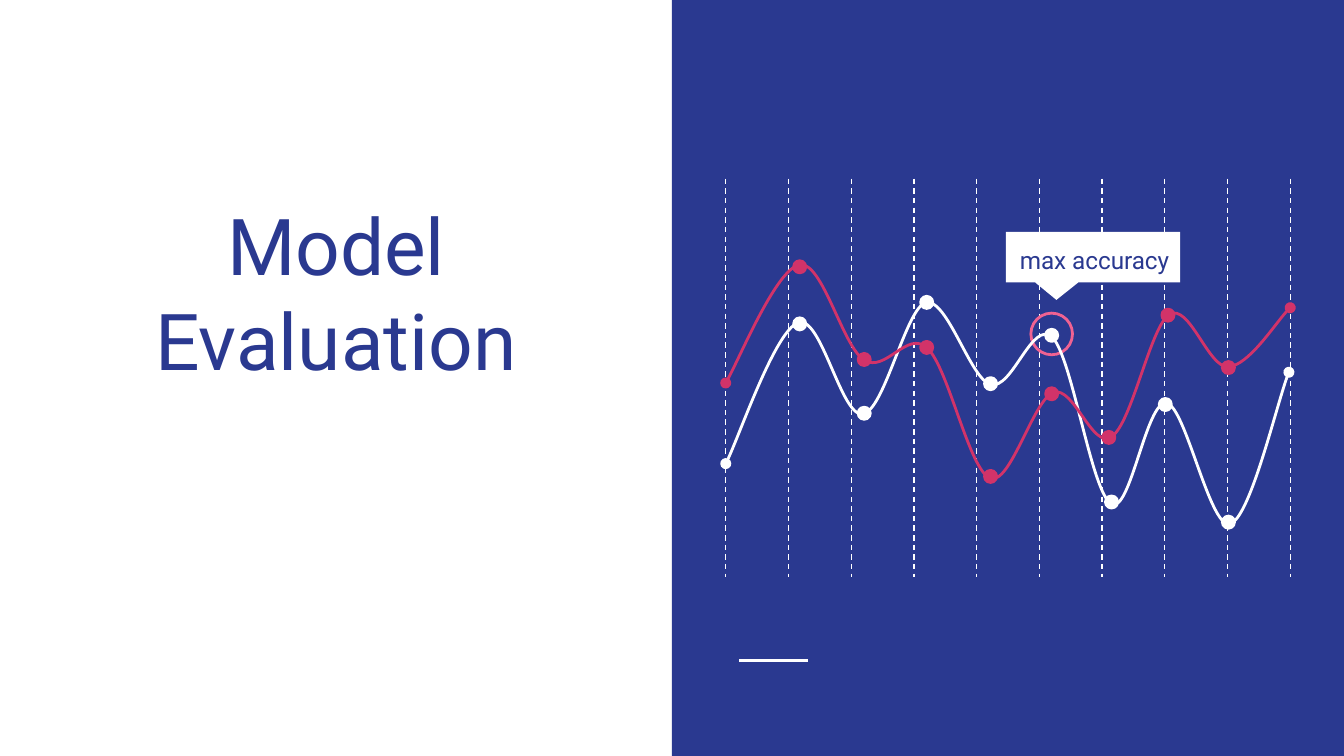
"""Build a slide with a model evaluation title beside an accuracy sketch."""
from dataclasses import dataclass
from typing import Any

import lxml.etree
import pptx
import pptx.dml.color
import pptx.enum.dml
import pptx.enum.shapes
import pptx.enum.text
import pptx.oxml
import pptx.oxml.ns
import pptx.util

PX = 4572
BLUE, WHITE, RED, PINK = "2A3990", "FFFFFF", "D23369", "F06292"
SHAPE = pptx.enum.shapes.MSO_SHAPE
ANCHOR = pptx.enum.text.MSO_ANCHOR
ALIGN = pptx.enum.text.PP_ALIGN
INSET = pptx.util.Emu(20 * PX)
FRAME_FORMAT = {
    "word_wrap": True,
    "margin_left": INSET,
    "margin_right": INSET,
    "margin_top": INSET,
    "margin_bottom": INSET,
}


@dataclass(frozen=True)
class Box:
    left: int
    top: int
    width: int
    height: int


@dataclass(frozen=True)
class Series:
    color: str
    curve: list[tuple[int, int]]
    dots: list[tuple[int, int]]


@dataclass(frozen=True)
class Label:
    text: str
    box: Box
    size: int
    anchor: Any
    paragraph_format: dict[str, Any]


WHITE_SERIES = Series(
    WHITE,
    [(1080, 690), (1098, 656), (1154, 492), (1188, 480), (1222, 468), (1252, 622),
     (1284, 616), (1316, 612), (1348, 458), (1378, 450), (1410, 444), (1444, 564),
     (1474, 572), (1506, 582), (1536, 474), (1566, 502), (1596, 532), (1624, 734),
     (1654, 750), (1682, 766), (1706, 594), (1736, 600), (1764, 604), (1800, 786),
     (1830, 780), (1860, 772), (1902, 592), (1918, 554)],
    [(1819, 768), (1725, 593), (1645, 738), (1556, 490), (1465, 562), (1370, 441),
     (1277, 606), (1181, 473)],
)
RED_SERIES = Series(
    RED,
    [(1080, 570), (1098, 540), (1156, 400), (1190, 394), (1224, 388), (1254, 516),
     (1286, 536), (1318, 556), (1350, 490), (1380, 518), (1412, 548), (1442, 700),
     (1474, 712), (1504, 722), (1538, 594), (1568, 584), (1598, 574), (1626, 670),
     (1654, 650), (1684, 632), (1712, 486), (1740, 468), (1770, 450), (1798, 548),
     (1828, 546), (1858, 544), (1904, 472), (1920, 458)],
    [(1181, 388), (1277, 526), (1370, 508), (1465, 700), (1556, 577), (1641, 642),
     (1729, 460), (1819, 538)],
)
LABELS = [
    Label("Model Evaluation", Box(58, 252, 884, 342), 42, ANCHOR.BOTTOM,
          {"alignment": ALIGN.CENTER}),
    Label("max accuracy", Box(1498, 352, 326, 62), 13, ANCHOR.MIDDLE,
          {"alignment": ALIGN.LEFT, "line_spacing": 1.15}),
]


def rgb(color: str) -> pptx.dml.color.RGBColor:
    return pptx.dml.color.RGBColor.from_string(color)


def emu(box: Box) -> list[int]:
    return [side * PX for side in (box.left, box.top, box.width, box.height)]


def paint(shape: Any, fill: str | None, line: str | None) -> None:
    shape.shadow.inherit = False
    if fill:
        shape.fill.solid()
        shape.fill.fore_color.rgb = rgb(fill)
    else:
        shape.fill.background()
    if line:
        shape.line.color.rgb = rgb(line)
        shape.line.width = pptx.util.Pt(1.5)
    else:
        shape.line.fill.background()


def add_figure(shapes: Any, kind: Any, box: Box, fill: str | None, line: str | None) -> Any:
    figure = shapes.add_shape(kind, *emu(box))
    paint(figure, fill, line)
    return figure


def add_rule(shapes: Any, start: tuple[int, int], end: tuple[int, int],
             width: float, dash: Any = None) -> None:
    ends = [value * PX for value in (*start, *end)]
    rule = shapes.add_connector(pptx.enum.shapes.MSO_CONNECTOR.STRAIGHT, *ends)
    rule.line.color.rgb = rgb(WHITE)
    rule.line.width = pptx.util.Pt(width)
    if dash:
        rule.line.dash_style = dash
    lxml.etree.SubElement(rule._element.spPr, pptx.oxml.ns.qn("a:effectLst"))


def add_series(shapes: Any, series: Series) -> None:
    builder = shapes.build_freeform(*series.curve[0], scale=PX)
    builder.add_line_segments(series.curve[1:], close=False)
    curve = builder.convert_to_shape()
    paint(curve, None, series.color)

    qn = pptx.oxml.ns.qn
    segments = list(curve._element.iter(qn("a:lnTo")))
    for first in range(0, len(segments), 3):
        bezier, *rest = segments[first:first + 3]
        for segment in rest:
            bezier.append(segment[0])
            segment.getparent().remove(segment)
        bezier.tag = qn("a:cubicBezTo")
    outline = curve._element.spPr.find(qn("a:ln"))
    for end in ("a:headEnd", "a:tailEnd"):
        lxml.etree.SubElement(outline, qn(end), type="oval", w="med", len="med")

    for left, top in series.dots:
        add_figure(shapes, SHAPE.OVAL, Box(left, top, 18, 18), series.color, series.color)


def add_label(shapes: Any, label: Label) -> None:
    frame = shapes.add_textbox(*emu(label.box)).text_frame
    for name, value in {**FRAME_FORMAT, "vertical_anchor": label.anchor}.items():
        setattr(frame, name, value)
    paragraph = frame.paragraphs[0]
    for name, value in label.paragraph_format.items():
        setattr(paragraph, name, value)
    run = paragraph.add_run()
    run.text = label.text
    for name, value in {"name": "Roboto", "size": pptx.util.Pt(label.size)}.items():
        setattr(run.font, name, value)
    run.font.color.rgb = rgb(BLUE)


def main() -> None:
    deck = pptx.Presentation()
    deck.slide_width, deck.slide_height = 2000 * PX, 1125 * PX
    shapes = deck.slides.add_slide(deck.slide_layouts[6]).shapes

    add_figure(shapes, SHAPE.RECTANGLE, Box(1000, 0, 1000, 1125), BLUE, None)
    add_rule(shapes, (1100, 983), (1202, 983), 1.5)
    for step in range(10):
        x = 1080 + round(step * 840 / 9)
        add_rule(shapes, (x, 266), (x, 858), 0.75, pptx.enum.dml.MSO_LINE.DASH)

    add_figure(shapes, SHAPE.OVAL, Box(1534, 466, 62, 62), None, PINK)
    add_series(shapes, WHITE_SERIES)
    callout = add_figure(shapes, SHAPE.ROUNDED_RECTANGULAR_CALLOUT,
                         Box(1497, 345, 259, 75), WHITE, None)
    for index, value in enumerate((-0.21, 0.85, 0)):
        callout.adjustments[index] = value
    add_series(shapes, RED_SERIES)
    for label in LABELS:
        add_label(shapes, label)

    deck.save("out.pptx")


if __name__ == "__main__":
    main()
